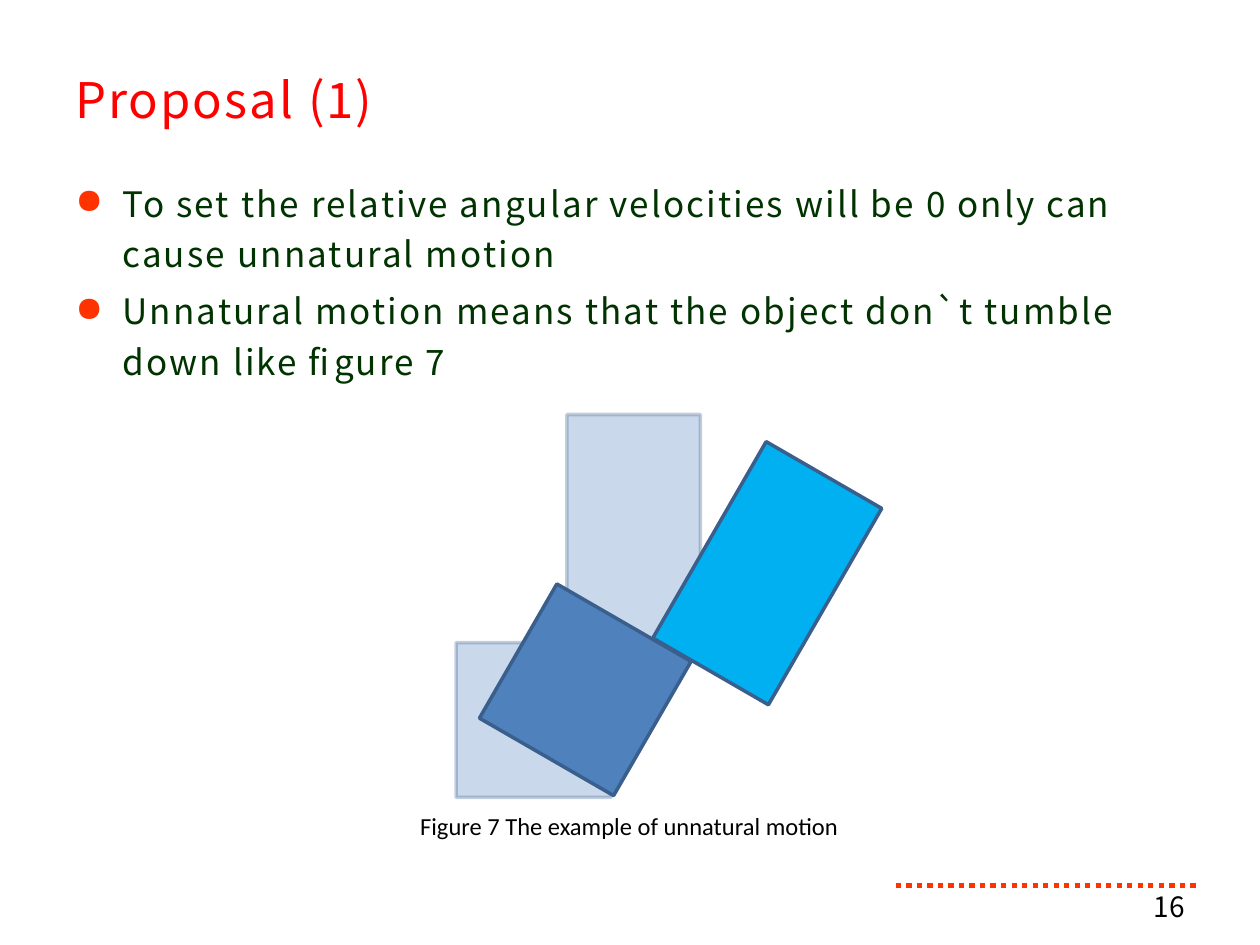
from dataclasses import dataclass
from lxml.etree import SubElement
from pptx import Presentation
from pptx.dml.color import RGBColor
from pptx.enum.dml import MSO_LINE
from pptx.enum.shapes import MSO_CONNECTOR, MSO_SHAPE
from pptx.enum.text import MSO_ANCHOR, PP_ALIGN
from pptx.oxml.ns import qn
from pptx.util import Pt


@dataclass(frozen=True)
class Theme:
    heading_font: str = "Noto Sans CJK JP"
    caption_font: str = "Calibri"
    title: str = "FF0000"
    body: str = "003300"
    accent: str = "FF3300"
    black: str = "000000"
    block: str = "4F81BD"
    tumbling_block: str = "00B0F0"
    outline: str = "3A5F8C"
    title_size: int = 28
    body_size: int = 20
    number_size: int = 16
    caption_size: int = 14


THEME = Theme()
TITLE = "Proposal (1)"
POINTS = [
    "To set the relative angular velocities will be 0 only can cause unnatural motion",
    "Unnatural motion means that the object don`t tumble down like figure 7",
]
CAPTION = "Figure 7 The example of unnatural motion"
PAGE_NUMBER = "16"

SQUARE = (88.56, 88.56)
TALL = (76.32, 129.6)
BLOCKS = [
    {"corner": (260.64, 367.2), "size": SQUARE, "color": THEME.block, "opacity": 30},
    {"corner": (324, 236.88), "size": TALL, "color": THEME.block, "opacity": 30},
    {"corner": (290.16, 349.92), "size": SQUARE, "color": THEME.block, "rotation": 30},
    {"corner": (400.32, 262.8), "size": TALL, "color": THEME.tumbling_block, "rotation": 30},
]


def add_bullet(paragraph):
    properties = paragraph._p.get_or_add_pPr()
    properties.set("marL", str(Pt(27)))
    properties.set("indent", str(-Pt(27)))
    color = SubElement(properties, qn("a:buClr"))
    SubElement(color, qn("a:srgbClr"), val=THEME.accent)
    SubElement(properties, qn("a:buChar"), char="●")


def add_text(slide, box, lines, *, size, color, font=THEME.heading_font,
             align=PP_ALIGN.LEFT, anchor=MSO_ANCHOR.TOP, line_spacing=None,
             gap=0, tracking=0, bullets=False):
    frame = slide.shapes.add_textbox(*map(Pt, box)).text_frame
    frame.word_wrap = True
    frame.vertical_anchor = anchor
    for index, line in enumerate(lines):
        paragraph = frame.add_paragraph() if index else frame.paragraphs[0]
        if bullets:
            add_bullet(paragraph)
        paragraph.alignment = align
        paragraph.line_spacing = line_spacing
        if index:
            paragraph.space_before = Pt(gap)
        run = paragraph.add_run()
        run.text = line
        run.font.name = font
        run.font.size = Pt(size)
        run.font.color.rgb = RGBColor.from_string(color)
        properties = run._r.get_or_add_rPr()
        if tracking:
            properties.set("spc", str(round(tracking * 100)))
        SubElement(properties, qn("a:ea"), typeface=font)


def set_opacity(shape, percent):
    for color in shape._element.spPr.iter(qn("a:srgbClr")):
        SubElement(color, qn("a:alpha"), val=str(percent * 1000))


def add_block(slide, corner, size, color, rotation=0, opacity=100):
    shape = slide.shapes.add_shape(MSO_SHAPE.RECTANGLE, *map(Pt, corner + size))
    shape.rotation = rotation
    shape.shadow.inherit = False
    shape.fill.solid()
    shape.fill.fore_color.rgb = RGBColor.from_string(color)
    shape.line.color.rgb = RGBColor.from_string(THEME.outline)
    shape.line.width = Pt(2)
    if opacity < 100:
        set_opacity(shape, opacity)


def add_footer_rule(slide):
    rule = slide.shapes.add_connector(
        MSO_CONNECTOR.STRAIGHT, Pt(511.92), Pt(506.16), Pt(686.16), Pt(506.16))
    rule.line.color.rgb = RGBColor.from_string(THEME.accent)
    rule.line.width = Pt(3)
    rule.line.dash_style = MSO_LINE.ROUND_DOT
    SubElement(rule._element.spPr, qn("a:effectLst"))


def main():
    presentation = Presentation()
    presentation.slide_width, presentation.slide_height = Pt(720), Pt(540)
    slide = presentation.slides.add_slide(presentation.slide_layouts[6])
    add_footer_rule(slide)
    add_text(slide, (36, 22.32, 648, 61.92), [TITLE], size=THEME.title_size,
             color=THEME.title, anchor=MSO_ANCHOR.MIDDLE, line_spacing=1.2, tracking=1.2)
    add_text(slide, (36, 95.76, 648, 399.6), POINTS, size=THEME.body_size,
             color=THEME.body, line_spacing=1.2, gap=4, tracking=1.2, bullets=True)
    add_text(slide, (516.24, 506.16, 167.76, 23.04), [PAGE_NUMBER], size=THEME.number_size,
             color=THEME.black, align=PP_ALIGN.RIGHT, anchor=MSO_ANCHOR.MIDDLE)
    for block in BLOCKS:
        add_block(slide, **block)
    add_text(slide, (220.32, 460.08, 278.64, 24.48), [CAPTION], size=THEME.caption_size,
             color=THEME.black, font=THEME.caption_font, align=PP_ALIGN.CENTER)
    presentation.save("out.pptx")


if __name__ == "__main__":
    main()
